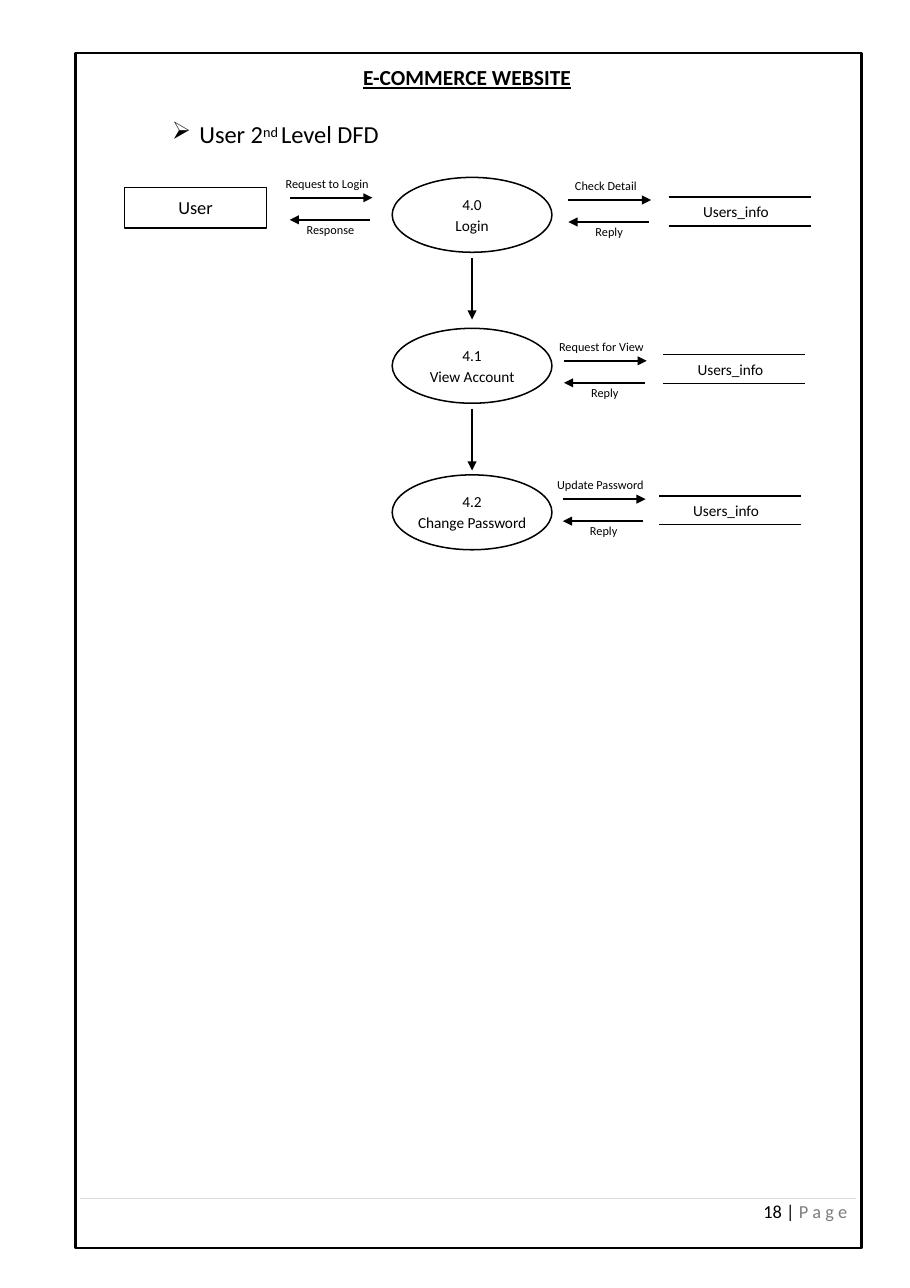
from lxml.etree import SubElement
from pptx import Presentation
from pptx.dml.color import RGBColor
from pptx.enum.shapes import MSO_CONNECTOR, MSO_SHAPE
from pptx.enum.text import MSO_ANCHOR, MSO_AUTO_SIZE, PP_ALIGN
from pptx.oxml.ns import qn
from pptx.util import Inches, Pt

STRAIGHT = MSO_CONNECTOR.STRAIGHT
RECTANGLE, OVAL = MSO_SHAPE.RECTANGLE, MSO_SHAPE.OVAL
MIDDLE, NO_FIT = MSO_ANCHOR.MIDDLE, MSO_AUTO_SIZE.NONE
LEFT, CENTER = PP_ALIGN.LEFT, PP_ALIGN.CENTER

BLACK = RGBColor(0x00, 0x00, 0x00)
GREY = RGBColor(0x7E, 0x7E, 0x7E)
PALE = RGBColor(0xD9, 0xD9, 0xD9)

FONT = "Calibri"
COLUMNS, ROWS = 82.6, 116.9
FLOW_WIDTH, FLOW_GAP = 7.5, 2
STORE_WIDTH, STORE_HEIGHT = 12.9, 2.6
OVAL_LEFT, OVAL_WIDTH, OVAL_HEIGHT = 35.6, 14.5, 6.8
OVAL_CENTER = OVAL_LEFT + OVAL_WIDTH / 2

PROCESSES = [
    ("4.0", "Login", 16.1),
    ("4.1", "View Account", 29.8),
    ("4.2", "Change Password", 43.1),
]
FLOWS = [
    ("Request to Login", "Response", 26.3, 17.95),
    ("Check Detail", "Reply", 51.6, 18.15),
    ("Request for View", "Reply", 51.2, 32.75),
    ("Update Password", "Reply", 51.1, 45.3),
]
STORES = [(60.7, 17.9), (60.2, 32.2), (59.8, 45)]


class DiagramPage:
    """Draws flow diagram parts on one slide, measured in grid columns and rows."""

    def __init__(self, deck):
        self.slide = deck.slides.add_slide(deck.slide_layouts[5])
        self.shapes = self.slide.shapes
        self.column = deck.slide_width / COLUMNS
        self.row = deck.slide_height / ROWS

    def area(self, left, top, width, height):
        return (round(left * self.column), round(top * self.row),
                round(width * self.column), round(height * self.row))

    def set_lines(self, frame, lines, size, align=CENTER, gap=0):
        frame.margin_left = frame.margin_right = 0
        frame.margin_top = frame.margin_bottom = 0
        frame.word_wrap = False
        frame.auto_size = NO_FIT
        frame.vertical_anchor = MIDDLE
        for index, line in enumerate(lines):
            paragraph = frame.add_paragraph() if index else frame.paragraphs[0]
            paragraph.alignment = align
            if index:
                paragraph.space_before = Pt(gap)
            for words, color in line:
                run = paragraph.add_run()
                run.text = words
                run.font.name = FONT
                run.font.size = Pt(size)
                run.font.color.rgb = color
        return frame.paragraphs[0]

    def title(self, words, *place):
        heading = self.shapes.title
        heading.left, heading.top, heading.width, heading.height = self.area(*place)
        paragraph = self.set_lines(heading.text_frame, [[(words, BLACK)]], 14)
        for run in paragraph.runs:
            run.font.bold = run.font.underline = True

    def text(self, runs, size, place, align=CENTER):
        box = self.shapes.add_textbox(*self.area(*place))
        return self.set_lines(box.text_frame, [runs], size, align)

    def label(self, words, size, center, middle):
        self.text([(words, BLACK)], size, (center - 5, middle - 1, 10, 2))

    def bullet(self, paragraph, mark, indent):
        properties = paragraph._p.get_or_add_pPr()
        properties.set("marL", str(indent))
        properties.set("indent", str(-indent))
        SubElement(properties, qn("a:buChar")).set("char", mark)

    def outline(self, preset, place, weight=1, lines=(), size=10):
        shape = self.shapes.add_shape(preset, *self.area(*place))
        shape.shadow.inherit = False
        shape.fill.background()
        shape.line.color.rgb = BLACK
        shape.line.width = Pt(weight)
        self.set_lines(shape.text_frame, [[(line, BLACK)] for line in lines], size, gap=1.7)

    def line(self, start, end, color=BLACK, weight=1, arrow=False):
        ends = self.area(*start, *end)
        connector = self.shapes.add_connector(STRAIGHT, *ends)
        connector.line.color.rgb = color
        connector.line.width = Pt(weight)
        if arrow:
            tip = SubElement(connector.line._get_or_add_ln(), qn("a:tailEnd"))
            tip.set("type", "triangle")
        SubElement(connector._element.spPr, qn("a:effectLst"))

    def flow(self, request, reply, left, top):
        right, bottom = left + FLOW_WIDTH, top + FLOW_GAP
        self.line((left, top), (right, top), arrow=True)
        self.line((right - 0.2, bottom), (left, bottom), arrow=True)
        self.label(request, 8, left + 3.4, top - 1.3)
        self.label(reply, 8, left + 3.7, bottom + 0.9)

    def store(self, name, left, top):
        for level in (top, top + STORE_HEIGHT):
            self.line((left, level), (left + STORE_WIDTH, level))
        self.label(name, 10, left + 6.1, top + STORE_HEIGHT / 2)


def main():
    deck = Presentation()
    deck.slide_width, deck.slide_height = Inches(8.26), Inches(11.69)
    page = DiagramPage(deck)

    page.outline(RECTANGLE, (6.85, 4.8, 71.35, 108.5), 1.5)
    page.title("E-COMMERCE WEBSITE", 15.9, 5.8, 53, 2.4)
    heading = page.text([("User 2", BLACK), ("nd ", BLACK), ("Level DFD", BLACK)],
                        16, (15.6, 10.8, 30, 2.7), LEFT)
    page.bullet(heading, "➢", Inches(0.25))
    heading.runs[1].font._element.set("baseline", "26000")

    page.outline(RECTANGLE, (11.3, 17, 12.9, 3.7), lines=["User"], size=12)
    for number, name, top in PROCESSES:
        page.outline(OVAL, (OVAL_LEFT, top, OVAL_WIDTH, OVAL_HEIGHT), lines=[number, name])
    for _, _, top in PROCESSES[:-1]:
        start = top + OVAL_HEIGHT + 0.5
        page.line((OVAL_CENTER, start), (OVAL_CENTER, start + 5.6), arrow=True)
    for flow in FLOWS:
        page.flow(*flow)
    for left, top in STORES:
        page.store("Users_info", left, top)

    page.line((7.3, 108.8), (77.7, 108.8), PALE, 0.75)
    page.text([("18 | ", BLACK), ("P a g e", GREY)], 12, (69.3, 108.9, 8, 2), LEFT)
    deck.save("out.pptx")


if __name__ == "__main__":
    main()
